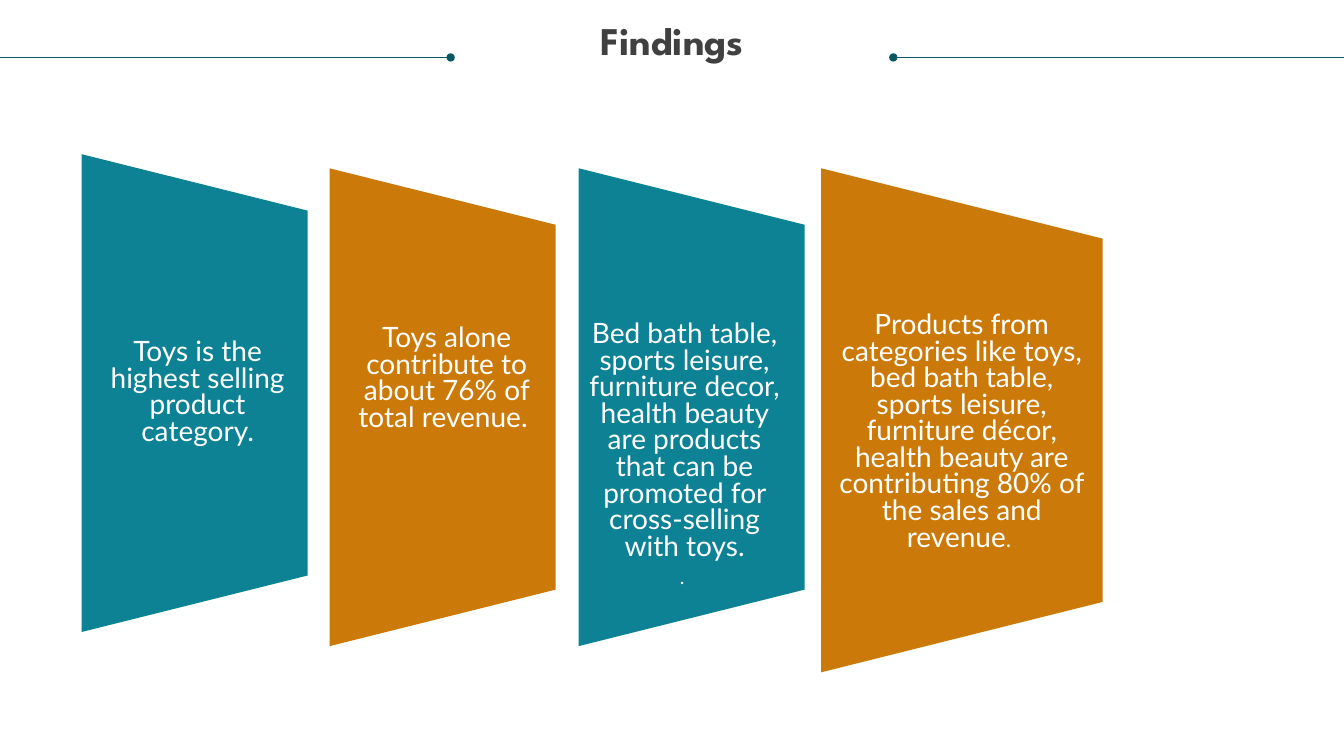
"""Build the Findings slide: four leaning panels under a ruled title."""
from lxml import etree
from pptx import Presentation
from pptx.dml.color import RGBColor
from pptx.enum import shapes, text
from pptx.oxml import ns
from pptx.util import Inches, Pt

TITLE = "Findings"
RULES = [(0, 4.47), (13.33, 8.86)]
RULE_Y = 0.57
PANELS = [
    {"mid": (1.93, 3.9), "size": (2.24, 4.74), "fill": "teal",
     "box": (1, 3.38, 1.92, 1.33),
     "text": [[("Toys is the highest selling product category.", "body")]]},
    {"mid": (4.39, 4.04), "size": (2.24, 4.74), "fill": "amber",
     "box": (3.47, 3.24, 1.92, 1.07),
     "text": [[("Toys alone contribute to about 76% of total revenue. ", "body")]]},
    {"mid": (6.86, 4.04), "size": (2.24, 4.74), "fill": "teal",
     "box": (5.83, 3.2, 1.92, 2.66),
     "text": [[("Bed bath table, sports leisure, furniture decor, health beauty "
                "are products that can be promoted for cross-selling with toys.", "body")],
              [(". ", "dot")]]},
    {"mid": (9.54, 4.17), "size": (2.79, 5), "fill": "amber",
     "box": (8.31, 3.11, 2.46, 2.4),
     "text": [[("Products from categories like toys, bed bath table, sports leisure, "
                "furniture décor, health beauty are contributing 80% of the sales "
                "and revenue", "body"), (". ", "stop")]]},
]


class Theme:
    """Colours, fonts and type sizes."""
    color = {"teal": "0D8295", "amber": "CB7A09", "rule": "085764",
             "title": "404040", "white": "FFFFFF"}
    size = {"title": 28, "body": 20, "stop": 16, "dot": 14}
    head = "League Spartan"
    body = "Lato"
    lead = 19


def tint(name):
    """Return a theme colour."""
    return RGBColor.from_string(Theme.color[name])


def bare(frame):
    """Wrap the text from the top, without margins."""
    frame.word_wrap = True
    frame.auto_size = text.MSO_AUTO_SIZE.NONE
    frame.vertical_anchor = text.MSO_ANCHOR.TOP
    frame.margin_left = frame.margin_right = 0
    frame.margin_top = frame.margin_bottom = 0


def style(para, face, size, color):
    """Centre a paragraph and set its font."""
    para.alignment = text.PP_ALIGN.CENTER
    para.font.name = face
    para.font.size = Pt(Theme.size[size])
    para.font.color.rgb = tint(color)


def head(slide):
    """Fill the title placeholder."""
    title = slide.shapes.title
    title.left, title.top, title.width, title.height = map(
        Inches, (0.25, 0.21, 12.83, 0.85))
    title.text = TITLE
    bare(title.text_frame)
    para = title.text_frame.paragraphs[0]
    style(para, Theme.head, "title", "title")
    para.font.bold = True
    para.line_spacing = 0.9


def rule(slide, start, end):
    """Draw a line from the slide edge to a round end."""
    line = slide.shapes.add_connector(
        shapes.MSO_CONNECTOR.STRAIGHT,
        Inches(start), Inches(RULE_Y), Inches(end), Inches(RULE_Y))
    line.line.color.rgb = tint("rule")
    line.line.width = Pt(0.5)
    etree.SubElement(line.line._get_or_add_ln(), ns.qn("a:tailEnd"), type="oval")
    etree.SubElement(line._element.spPr, ns.qn("a:effectLst"))


def panel(slide, item):
    """Draw a trapezoid turned to the right."""
    (x, y), (wide, tall) = item["mid"], item["size"]
    shape = slide.shapes.add_shape(
        shapes.MSO_SHAPE.TRAPEZOID, Inches(x - tall / 2), Inches(y - wide / 2),
        Inches(tall), Inches(wide))
    shape.rotation = 90
    shape.shadow.inherit = False
    shape.fill.solid()
    shape.fill.fore_color.rgb = tint(item["fill"])
    shape.line.fill.background()


def label(slide, item):
    """Write the finding over its panel."""
    frame = slide.shapes.add_textbox(*map(Inches, item["box"])).text_frame
    bare(frame)
    for i, runs in enumerate(item["text"]):
        para = frame.add_paragraph() if i else frame.paragraphs[0]
        style(para, Theme.body, runs[0][1], "white")
        para.line_spacing = Pt(Theme.lead)
        for words, size in runs:
            run = para.add_run()
            run.text = words
            if size != runs[0][1]:
                run.font.size = Pt(Theme.size[size])


def main():
    """Assemble and save the slide."""
    deck = Presentation()
    deck.slide_width, deck.slide_height = Inches(13.33), Inches(7.5)
    slide = deck.slides.add_slide(deck.slide_layouts[5])
    head(slide)
    for start, end in RULES:
        rule(slide, start, end)
    for draw in (panel, label):
        for item in PANELS:
            draw(slide, item)
    deck.save("out.pptx")


if __name__ == "__main__":
    main()
